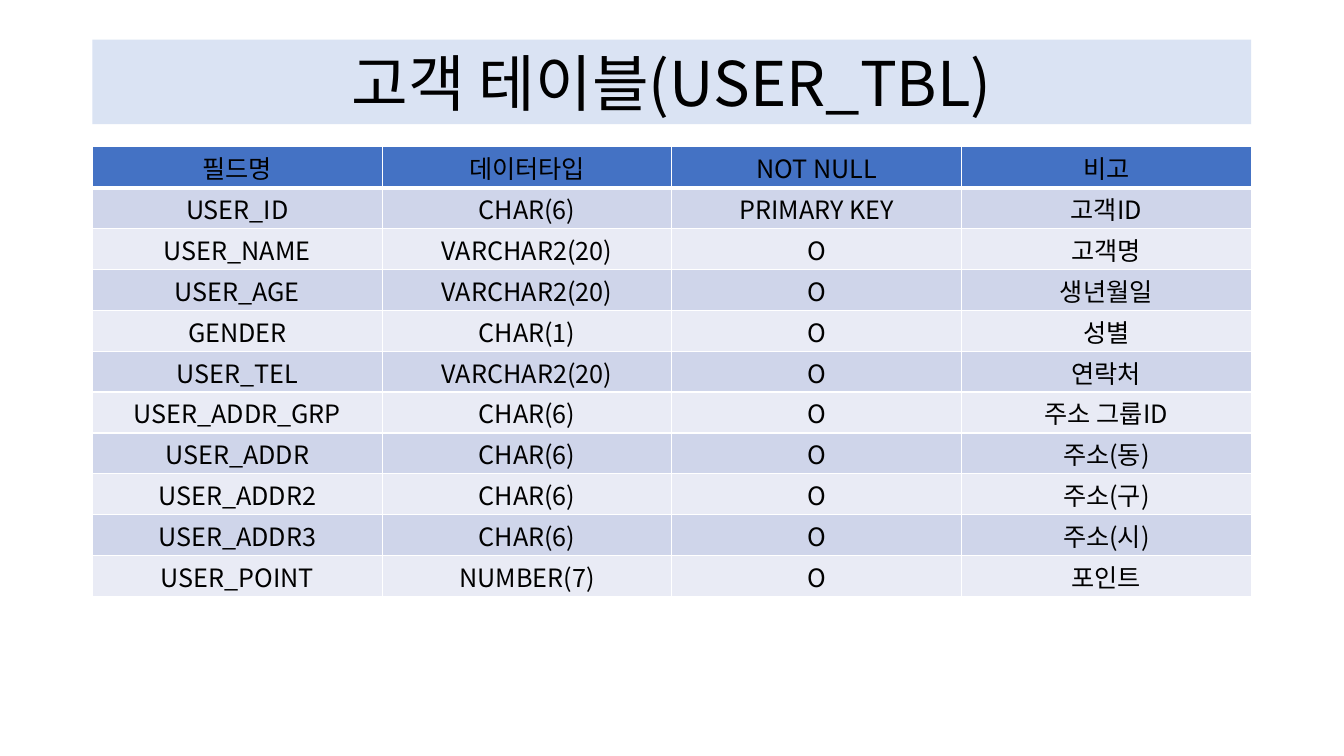
from dataclasses import dataclass

from lxml.etree import SubElement
from pptx import Presentation
from pptx.dml.color import RGBColor as Rgb
from pptx.enum.shapes import MSO_SHAPE as Shape
from pptx.enum.text import MSO_ANCHOR as Anchor, MSO_AUTO_SIZE as AutoSize, PP_ALIGN as Align
from pptx.oxml.ns import qn
from pptx.util import Cm, Pt


@dataclass(frozen=True)
class Theme:
    font: str = "Noto Sans CJK KR"
    text: str = "000000"
    banner: str = "DAE3F3"
    header: str = "4472C4"
    bands: tuple = ("CFD5EA", "E9EBF5")
    border: str = "FFFFFF"
    title_size: int = 44
    cell_size: int = 18
    thin: int = 1
    thick: int = 3


class Page:
    def __init__(self, slide, theme):
        self.slide = slide
        self.theme = theme

    def add_text(self, frame, text, size):
        para = frame.paragraphs[0]
        para.alignment = Align.CENTER
        span = para.add_run()
        span.text = text
        span.font.color.rgb = Rgb.from_string(self.theme.text)
        for name, value in {"name": self.theme.font, "size": Pt(size)}.items():
            setattr(span.font, name, value)
        # Hangul takes the East Asian typeface
        SubElement(span.font._element, qn("a:ea"), typeface=self.theme.font)

    def banner(self, text, left, top, width, height):
        box = self.slide.shapes.add_shape(
            Shape.RECTANGLE, Cm(left), Cm(top), Cm(width), Cm(height))
        box.shadow.inherit = False
        box.fill.solid()
        box.fill.fore_color.rgb = Rgb.from_string(self.theme.banner)
        box.line.fill.background()
        frame_format = {"word_wrap": True, "auto_size": AutoSize.SHAPE_TO_FIT_TEXT,
                        "vertical_anchor": Anchor.MIDDLE}
        for name, value in frame_format.items():
            setattr(box.text_frame, name, value)
        self.add_text(box.text_frame, text, self.theme.title_size)

    def borders(self, cell, widths):
        properties = cell._tc.get_or_add_tcPr()
        for side, width in widths.items():
            line = SubElement(properties, qn(f"a:ln{side}"), w=str(Pt(width)))
            fill = SubElement(line, qn("a:solidFill"))
            SubElement(fill, qn("a:srgbClr"), val=self.theme.border)

    def table(self, rows, left, top, column_width, row_height):
        theme = self.theme
        count = len(rows[0])
        grid = self.slide.shapes.add_table(
            len(rows), count, Cm(left), Cm(top),
            Cm(column_width * count), Cm(row_height * len(rows))).table
        for column in grid.columns:
            column.width = Cm(column_width)
        cell_format = {"vertical_anchor": Anchor.MIDDLE, "margin_left": Cm(0.02),
                       "margin_right": Cm(0.02), "margin_top": Cm(0.02), "margin_bottom": 0}
        for index, texts in enumerate(rows):
            grid.rows[index].height = Cm(row_height)
            color = theme.bands[(index - 1) % 2] if index else theme.header
            # A thick rule parts the header from the body
            widths = {"L": theme.thin, "R": theme.thin,
                      "T": theme.thick if index == 1 else theme.thin,
                      "B": theme.thick if index == 0 else theme.thin}
            for cell, text in zip(grid.rows[index].cells, texts):
                for name, value in cell_format.items():
                    setattr(cell, name, value)
                self.borders(cell, widths)
                cell.fill.solid()
                cell.fill.fore_color.rgb = Rgb.from_string(color)
                self.add_text(cell.text_frame, text, theme.cell_size)


FIELDS = [
    ("필드명", "데이터타입", "NOT NULL", "비고"),
    ("USER_ID", "CHAR(6)", "PRIMARY KEY", "고객ID"),
    ("USER_NAME", "VARCHAR2(20)", "O", "고객명"),
    ("USER_AGE", "VARCHAR2(20)", "O", "생년월일"),
    ("GENDER", "CHAR(1)", "O", "성별"),
    ("USER_TEL", "VARCHAR2(20)", "O", "연락처"),
    ("USER_ADDR_GRP", "CHAR(6)", "O", "주소 그룹ID"),
    ("USER_ADDR", "CHAR(6)", "O", "주소(동)"),
    ("USER_ADDR2", "CHAR(6)", "O", "주소(구)"),
    ("USER_ADDR3", "CHAR(6)", "O", "주소(시)"),
    ("USER_POINT", "NUMBER(7)", "O", "포인트"),
]


def main():
    deck = Presentation()
    deck.slide_width, deck.slide_height = Cm(33.87), Cm(19.05)
    page = Page(deck.slides.add_slide(deck.slide_layouts[6]), Theme())

    # Title banner
    page.banner("고객 테이블(USER_TBL)", 2.33, 1, 29.2, 2.13)

    # Field definitions
    page.table(FIELDS, 2.33, 3.7, 7.3, 1.03)

    deck.save("out.pptx")


if __name__ == "__main__":
    main()
